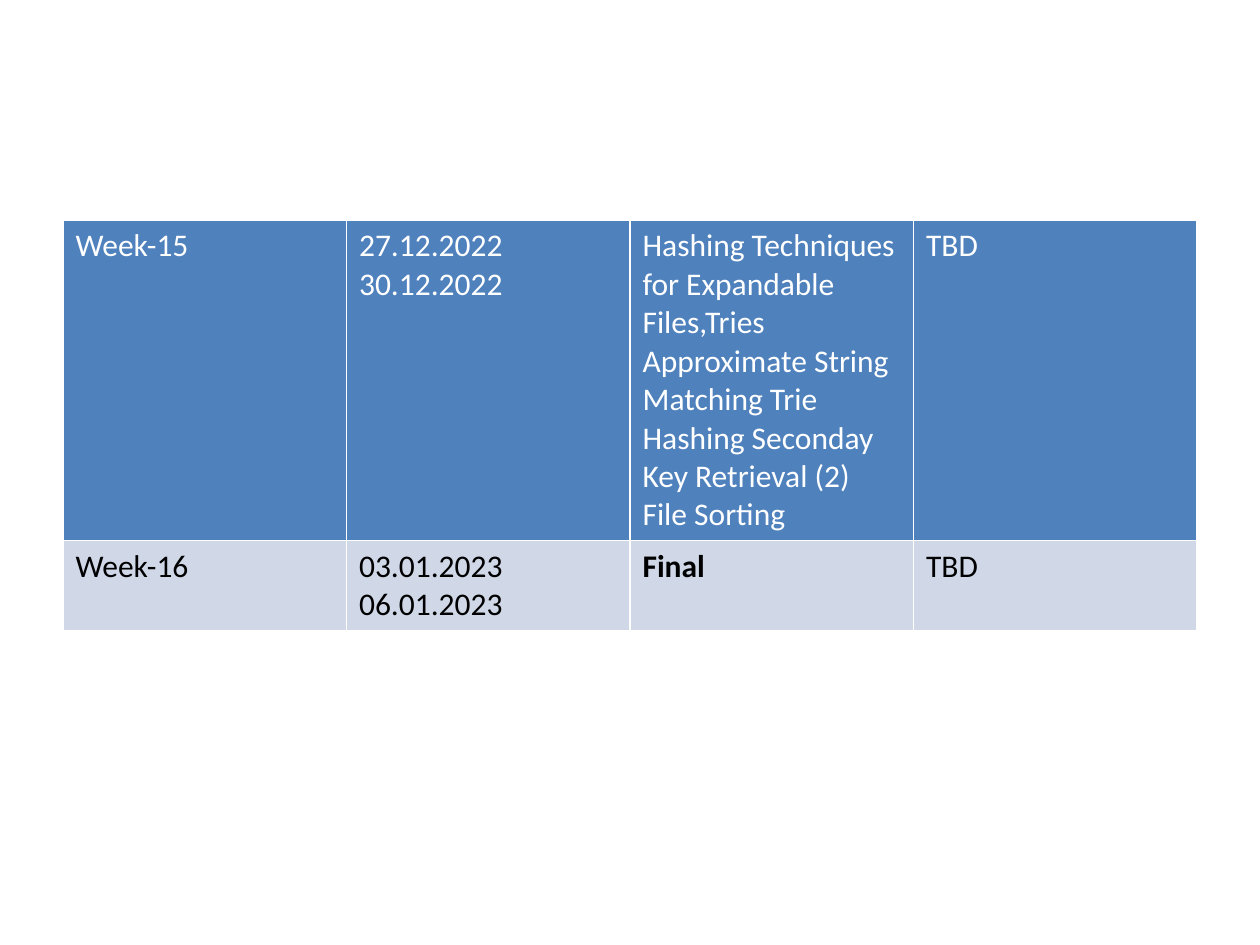
import dataclasses

import lxml.etree
import pptx
import pptx.dml.color
import pptx.oxml.ns
import pptx.util


@dataclasses.dataclass(frozen=True)
class Theme:
    """Colours and type sizes of the schedule."""
    font: str = "Calibri"
    size: int = 18
    header_fill: str = "4F81BD"
    header_text: str = "FFFFFF"
    body_fill: str = "D0D8E8"
    body_text: str = "000000"
    border: str = "FFFFFF"
    border_width: float = 1


THEME = Theme()
SCHEDULE = [
    ["Week-15", "27.12.2022 30.12.2022",
     "Hashing Techniques for Expandable Files,Tries Approximate String "
     "Matching Trie Hashing Seconday Key Retrieval (2) File Sorting", "TBD"],
    ["Week-16", "03.01.2023 06.01.2023", "Final", "TBD"],
]
ROW_HEIGHTS = [2.54, 0.71]
EXAM = "Final"


def add_borders(cell):
    """Draw the same solid line on all four sides of a cell."""
    properties = cell._tc.get_or_add_tcPr()
    qn = pptx.oxml.ns.qn
    for position, side in enumerate(("a:lnL", "a:lnR", "a:lnT", "a:lnB")):
        line = lxml.etree.Element(qn(side), w=str(pptx.util.Pt(THEME.border_width)))
        fill = lxml.etree.SubElement(line, qn("a:solidFill"))
        lxml.etree.SubElement(fill, qn("a:srgbClr"), val=THEME.border)
        properties.insert(position, line)


def fill_cell(cell, wording, fill, colour):
    """Write and style one cell of the schedule."""
    cell.text = wording
    cell.fill.solid()
    cell.fill.fore_color.rgb = pptx.dml.color.RGBColor.from_string(fill)
    font = cell.text_frame.paragraphs[0].font
    font.name = THEME.font
    font.size = pptx.util.Pt(THEME.size)
    font.bold = wording == EXAM
    font.color.rgb = pptx.dml.color.RGBColor.from_string(colour)
    add_borders(cell)


def add_schedule(slide, left, top, width):
    """Place the weekly schedule with equal columns."""
    schedule = slide.shapes.add_table(
        len(SCHEDULE), len(SCHEDULE[0]), left, top, width,
        pptx.util.Inches(sum(ROW_HEIGHTS))).table
    for row, height in zip(schedule.rows, ROW_HEIGHTS):
        row.height = pptx.util.Inches(height)
    for index, week in enumerate(SCHEDULE):
        colours = ((THEME.body_fill, THEME.body_text) if index
                   else (THEME.header_fill, THEME.header_text))
        for column, wording in enumerate(week):
            fill_cell(schedule.cell(index, column), wording, *colours)


def main():
    """Build and save the schedule slide."""
    deck = pptx.Presentation()
    deck.slide_width = pptx.util.Inches(10)
    deck.slide_height = pptx.util.Inches(7.5)
    slide = deck.slides.add_slide(deck.slide_layouts[6])
    margin = deck.slide_width // 20
    add_schedule(slide, margin, deck.slide_height * 7 // 30,
                 deck.slide_width - 2 * margin)
    deck.save("out.pptx")


if __name__ == "__main__":
    main()
